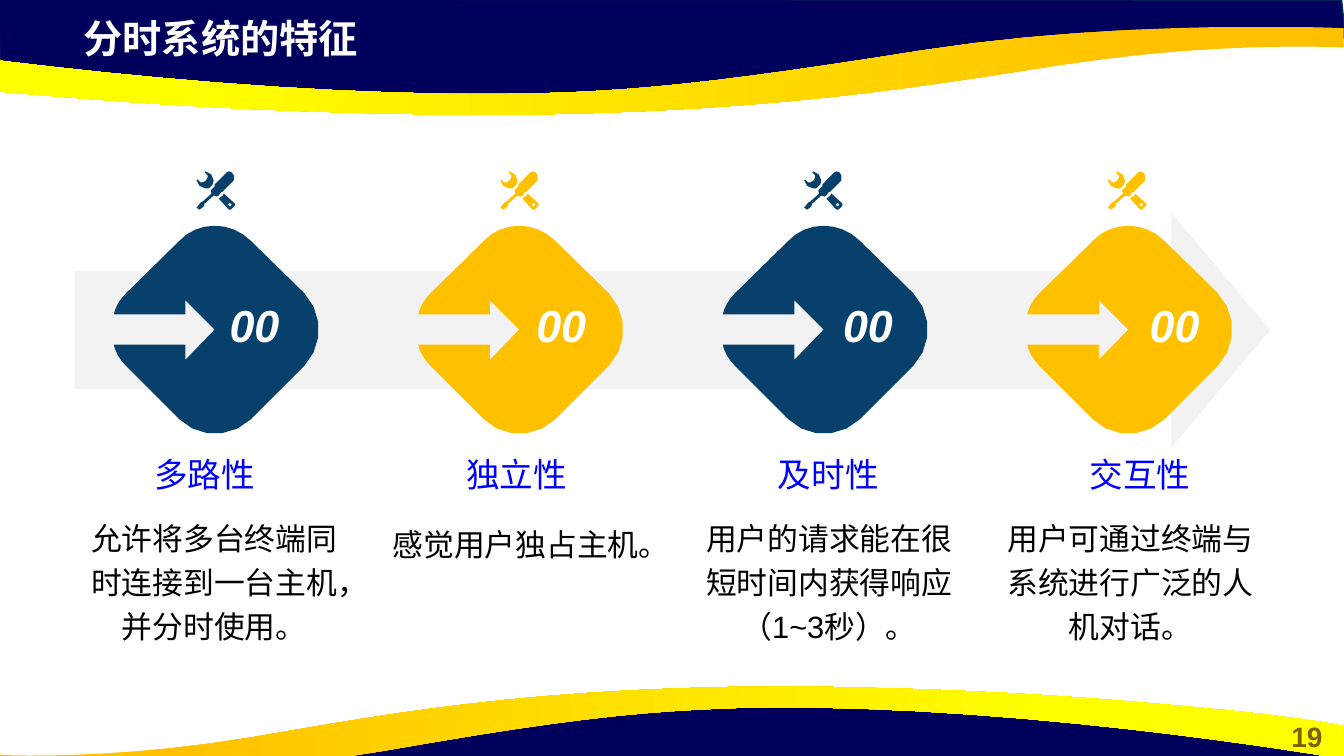
from math import dist, sqrt

from pptx import Presentation
from pptx.dml.color import RGBColor
from pptx.enum.shapes import MSO_SHAPE
from pptx.enum.text import MSO_ANCHOR, PP_ALIGN
from pptx.util import Pt

NAVY = RGBColor(0x00, 0x00, 0x5C)
EDGE = RGBColor(0x05, 0x30, 0x4F)
TEAL = RGBColor(0x07, 0x41, 0x6B)
AMBER = RGBColor(0xFF, 0xC0, 0x00)
YELLOW = RGBColor(0xFF, 0xFF, 0x00)
GREY = RGBColor(0xF2, 0xF2, 0xF2)
BLUE = RGBColor(0x00, 0x00, 0xFF)
BROWN = RGBColor(0x80, 0x60, 0x00)
BLACK = RGBColor(0x00, 0x00, 0x00)
WHITE = RGBColor(0xFF, 0xFF, 0xFF)

UNIT = 0.72  # points per path unit

TOP_NAVY = ("M -1 -1 L 0 70 L 293 102 L 559 100 L 795 88 L 1016 50 "
            "L 1238 33 L 1335 38 L 1331 0 Z")
TOP_YELLOW = ("M 483 114 C 443 114 401 113 356 112 C 206 108 110 100 36 94 "
              "C -88 84 -130 75 -133 75 L -133 42 C -133 42 218 98 517 93 "
              "C 626 91 708 83 915 50 C 1121 18 1333 28 1333 28 L 1333 47 L 1330 47 "
              "C 1305 46 1195 43 1055 64 C 918 85 762 113 483 114 Z")
BOTTOM_NAVY = ("M 1333 794 L 1332 724 L 1040 691 L 773 693 L 538 706 L 317 743 "
               "L 95 760 L -3 756 L 1 793 Z")
BOTTOM_YELLOW = ("M 772 681 C 809 681 847 682 888 683 C 1025 687 1112 695 1179 701 "
                 "C 1292 711 1330 720 1333 720 L 1333 753 C 1333 753 1014 697 742 702 "
                 "C 642 705 567 712 380 745 C 192 778 -1 768 -1 768 L -1 748 L 2 749 "
                 "C 25 750 125 752 252 731 C 376 710 519 682 772 681 Z")
DIAMOND = ("M 103 0 C 116 0 129 5 139 15 L 192 67 C 211 87 211 119 192 139 L 139 192 "
           "C 119 211 87 211 68 192 L 15 139 C 10 134 6 128 4 122 L 3 118 L 74 118 "
           "L 74 133 L 103 103 L 74 74 L 74 88 L 3 88 L 4 84 C 6 78 10 72 15 67 "
           "L 68 15 C 77 5 90 0 103 0 Z")
TOOLS = ("M 33 31 L 31 33 L 33 35 L 35 33 Z "
         "M 27 22 L 38 32 L 38 34 L 34 38 L 32 38 L 22 27 L 26 24 Z "
         "M 32 0 L 35 1 L 37 4 C 39 5 39 8 37 9 L 26 20 L 24 21 L 22 24 "
         "L 20 25 L 17 24 L 8 32 L 7 35 L 3 38 L 0 36 L 4 31 L 6 30 L 15 22 "
         "L 14 19 L 18 15 L 18 13 L 30 1 Z "
         "M 9 0 C 13 0 17 5 17 9 L 16 13 L 12 17 L 9 17 C 5 17 0 13 0 9 L 1 8 "
         "L 4 11 L 6 11 C 8 11 11 8 11 6 L 11 4 L 8 1 Z")

# heading, description, left and top of the description
FEATURES = [
    ("多路性", "允许将多台终端同时连接到一台主机，并分时使用。", 53.3, 362.2),
    ("独立性", "感觉用户独占主机。", 268.6, 366.5),
    ("及时性", "用户的请求能在很短时间内获得响应（1~3秒）。", 492.5, 362.2),
    ("交互性", "用户可通过终端与系统进行广泛的人机对话。", 707.8, 362.2),
]


def bezier(p0, p1, p2, p3):
    """Yield points along a cubic curve, more of them on a longer one."""
    steps = max(1, round(0.6 * sqrt(dist(p0, p3))))
    for k in range(1, steps + 1):
        t = k / steps
        u = 1 - t
        yield tuple(u**3 * a + 3 * u * u * t * b + 3 * u * t * t * c + t**3 * d
                    for a, b, c, d in zip(p0, p1, p2, p3))


def contours(outline):
    """Turn an outline of M, L, C and Z commands into lists of points."""
    for part in outline.split("Z")[:-1]:
        tokens = iter(part.split())
        pts = []
        for command in tokens:
            count = 3 if command == "C" else 1
            ends = [(float(next(tokens)), float(next(tokens))) for _ in range(count)]
            pts.extend(bezier(pts[-1], *ends) if command == "C" else ends)
        yield [(Pt(x * UNIT), Pt(y * UNIT)) for x, y in pts]


def write(sp, text, size, color, bold=False, italic=False, align=PP_ALIGN.CENTER,
          anchor=MSO_ANCHOR.TOP, spacing=None):
    tf = sp.text_frame
    tf.word_wrap = True
    tf.vertical_anchor = anchor
    p = tf.paragraphs[0]
    p.alignment = align
    p.line_spacing = spacing
    r = p.add_run()
    r.text = text
    r.font.name = "Arial"
    r.font.size = Pt(size)
    r.font.bold = bold
    r.font.italic = italic
    r.font.color.rgb = color


class SlideBuilder:
    def __init__(self, prs):
        self.shapes = prs.slides.add_slide(prs.slide_layouts[5]).shapes

    def finish(self, sp, fill, line=None):
        sp.shadow.inherit = False
        if fill:
            sp.fill.solid()
            sp.fill.fore_color.rgb = fill
        if line:
            sp.line.color.rgb = line
            sp.line.width = Pt(1)
        else:
            sp.line.fill.background()

    def title(self, text, x, y, w, h):
        sp = self.shapes.title
        self.shapes.element.append(sp.element)
        sp.left, sp.top, sp.width, sp.height = Pt(x), Pt(y), Pt(w), Pt(h)
        write(sp, text, 28, WHITE, bold=True, align=PP_ALIGN.LEFT,
              anchor=MSO_ANCHOR.MIDDLE)

    def text(self, text, x, y, w, h, **style):
        write(self.shapes.add_textbox(Pt(x), Pt(y), Pt(w), Pt(h)), text, **style)

    def outline(self, outline, x=0, y=0, fill=None, line=None):
        first, *rest = contours(outline)
        builder = self.shapes.build_freeform(*first[0])
        builder.add_line_segments(first[1:], close=True)
        for pts in rest:
            builder.move_to(*pts[0])
            builder.add_line_segments(pts[1:], close=True)
        sp = builder.convert_to_shape(Pt(x), Pt(y))
        self.finish(sp, fill, line)
        return sp

    def golden_wave(self, outline, angle):
        fill = self.outline(outline).fill
        fill.gradient()
        fill.gradient_angle = angle
        for stop, color, position in zip(fill.gradient_stops, (AMBER, YELLOW), (0.11, 0.78)):
            stop.color.rgb = color
            stop.position = position

    def right_arrow(self, x, y, w, h, fill):
        sp = self.shapes.add_shape(MSO_SHAPE.RIGHT_ARROW, Pt(x), Pt(y), Pt(w), Pt(h))
        sp.adjustments[0], sp.adjustments[1] = 0.5, 0.42
        self.finish(sp, fill)


def main():
    prs = Presentation()
    prs.slide_width, prs.slide_height = Pt(960), Pt(540)
    s = SlideBuilder(prs)

    s.outline(TOP_NAVY, fill=NAVY, line=EDGE)
    s.golden_wave(TOP_YELLOW, 180)
    s.outline(BOTTOM_NAVY, fill=NAVY, line=EDGE)
    s.golden_wave(BOTTOM_YELLOW, 0)
    s.text("19", 907.2, 510.5, 52.6, 31.7, size=20, color=BROWN, bold=True)
    s.title("分时系统的特征", 52.6, 6.5, 553, 41)

    s.right_arrow(53.3, 151.9, 853.9, 167.8, GREY)
    for i, (heading, description, left, top) in enumerate(FEATURES):
        color = AMBER if i % 2 else TEAL
        s.outline(DIAMOND, 79.2 + 217.5 * i, 161.3, fill=color)
        s.outline(TOOLS, 140.4 + 217 * i, 122.4, fill=color)
        s.text("00", 154.1 + 219.1 * i, 205.2, 55.4, 53.3, size=32, color=WHITE,
               bold=True, italic=True, anchor=MSO_ANCHOR.MIDDLE)
        s.text(heading, 53.3 + 222.7 * i, 320.4, 185.8, 31, size=24, color=BLUE)
        s.text(description, left, top, 199.4, 115.2, size=22, color=BLACK, spacing=1.2)

    prs.save("out.pptx")


if __name__ == "__main__":
    main()
